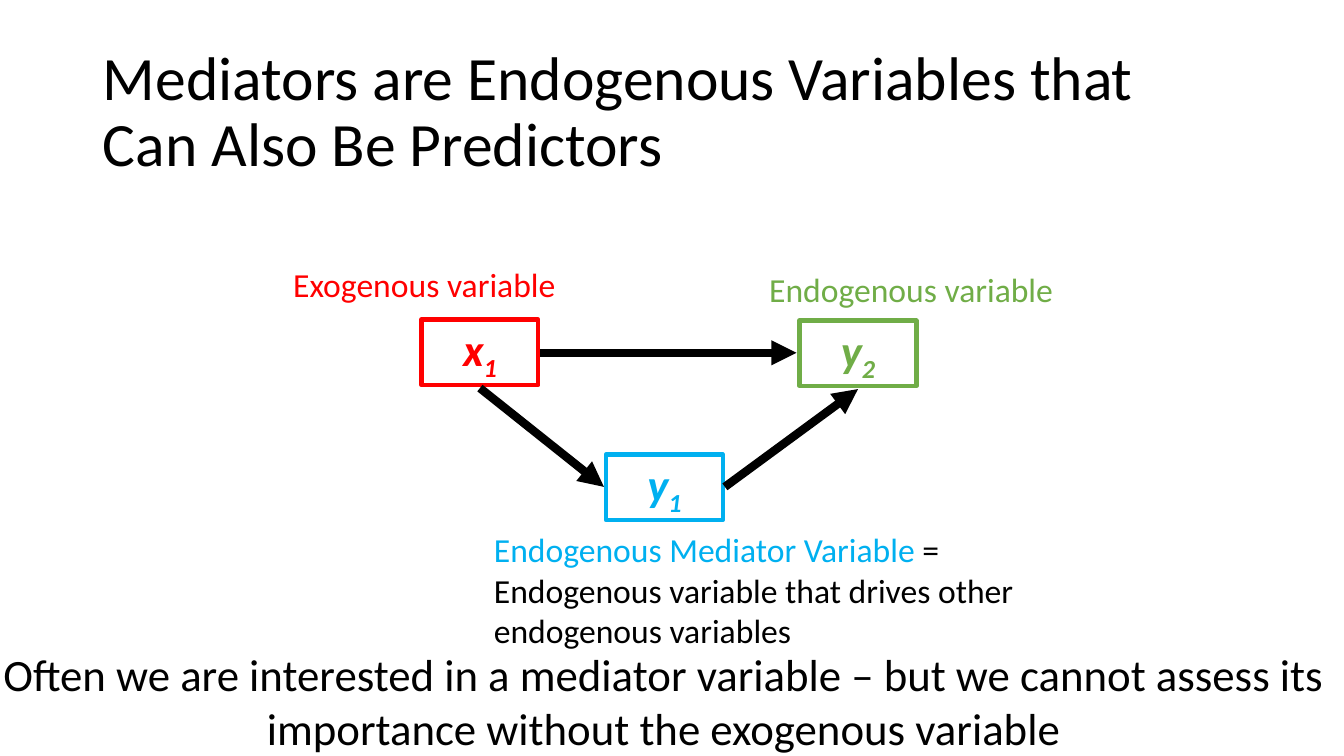
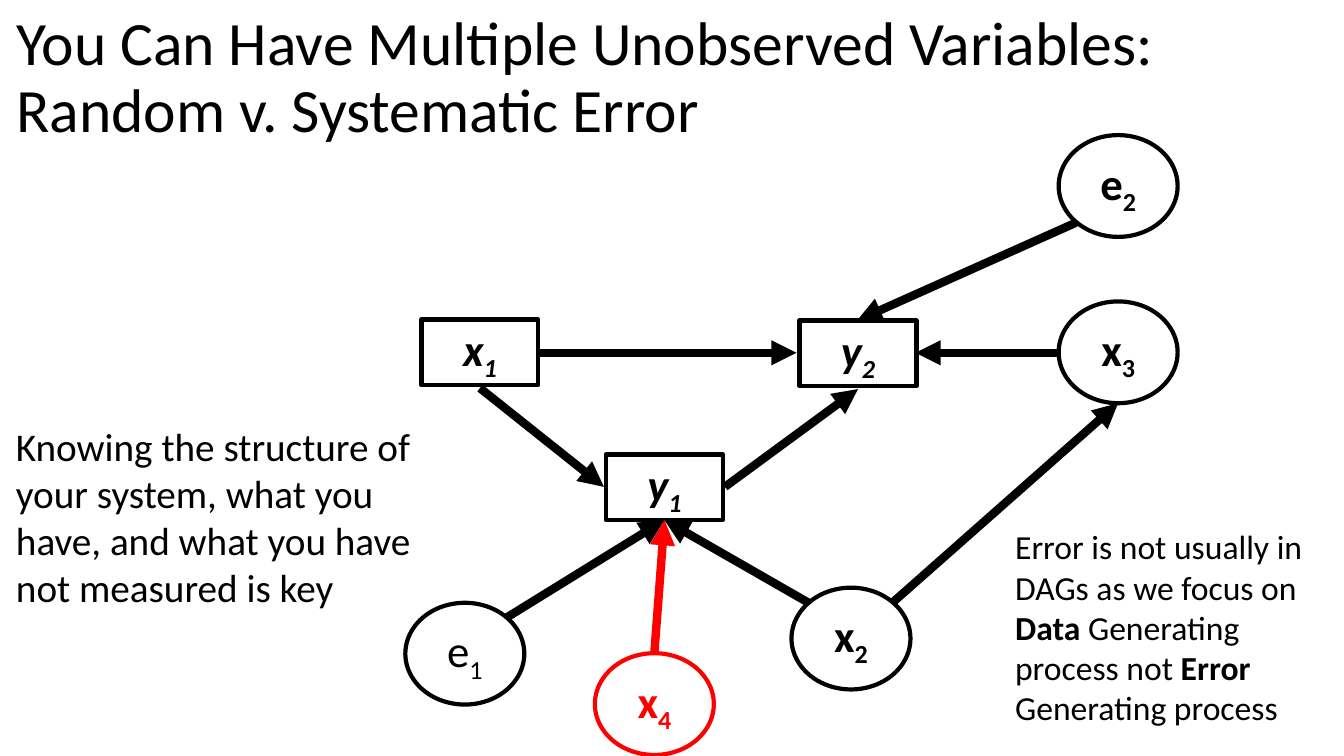
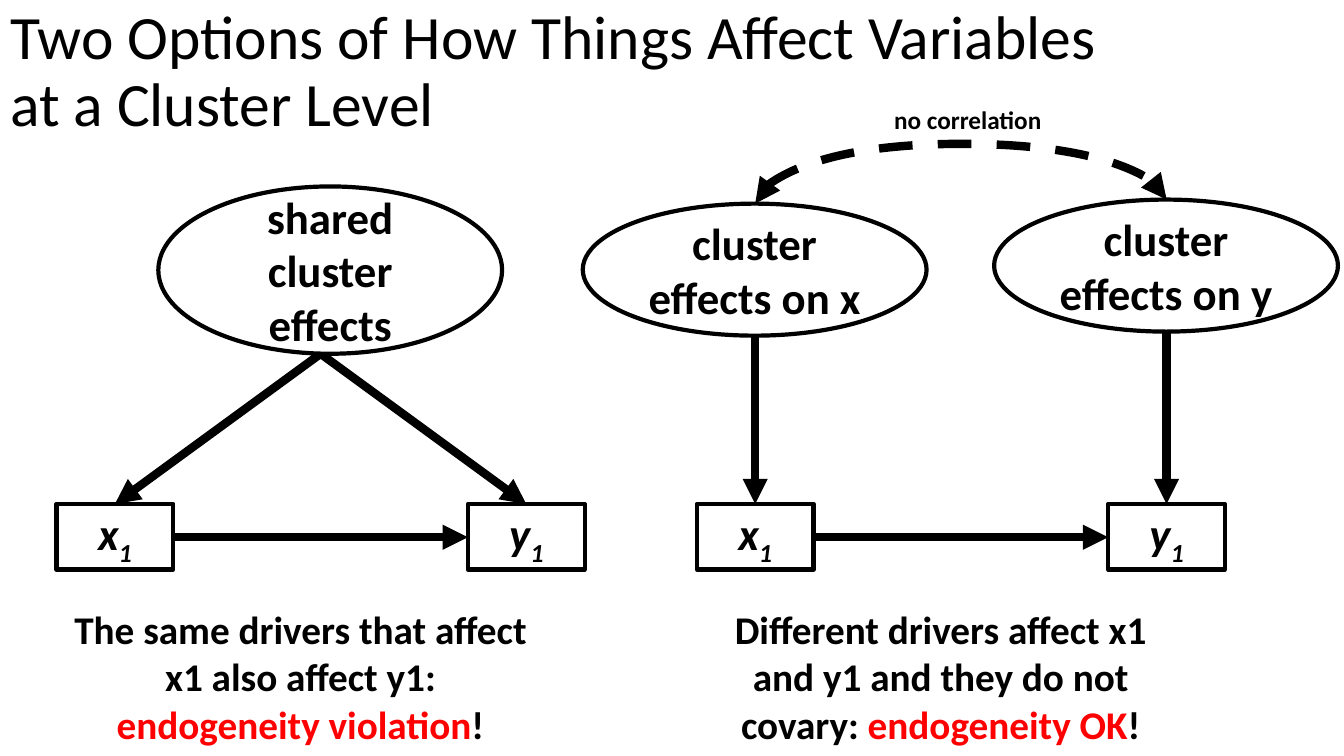
from lxml import etree
from pptx import Presentation
from pptx.dml.color import RGBColor
from pptx.enum.dml import MSO_LINE
from pptx.enum.shapes import MSO_CONNECTOR, MSO_SHAPE
from pptx.enum.text import MSO_ANCHOR, MSO_AUTO_SIZE, PP_ALIGN
from pptx.oxml.ns import qn
from pptx.util import Pt

PX = 9144  # 100 px to the inch
FONT = "Calibri"
HUES = {
    "ink": "000000",
    "paper": "FFFFFF",
    "red": "FF0000",
    "blue": "00B0F0",
    "green": "70AD47",
}
RECT, OVAL = MSO_SHAPE.RECTANGLE, MSO_SHAPE.OVAL
STRAIGHT, CURVE = MSO_CONNECTOR.STRAIGHT, MSO_CONNECTOR.CURVE
LEFT, MID = PP_ALIGN.LEFT, PP_ALIGN.CENTER
TOP, CORE = MSO_ANCHOR.TOP, MSO_ANCHOR.MIDDLE
DASH = MSO_LINE.DASH
FIXED = MSO_AUTO_SIZE.NONE
TITLE_ONLY = 5
NODE = (116, 65)
ROUND = (118, 101)


def emu(*nums):
    return [n * PX for n in nums]


def rgb(hue):
    return RGBColor.from_string(HUES[hue])


def write(frame, paras, size, hue="ink", align=LEFT, anchor=TOP, bold=False,
          slant=False):
    """Fill a text frame; each paragraph lists (text, changes) runs."""
    frame.word_wrap = True
    frame.auto_size = FIXED
    frame.vertical_anchor = anchor
    for i, runs in enumerate(paras):
        para = frame.add_paragraph() if i else frame.paragraphs[0]
        para.alignment = align
        for text, diff in runs:
            run = para.add_run()
            run.text = text
            font = run.font
            font.name, font.size = FONT, Pt(size)
            font.bold = diff.get("bold", bold)
            font.italic = slant
            font.color.rgb = rgb(diff.get("hue", hue))
            if "base" in diff:
                font._element.set("baseline", str(diff["base"] * 1000))


def head(deck, box, text):
    """Add a slide with its title in the box."""
    slide = deck.slides.add_slide(deck.slide_layouts[TITLE_ONLY])
    title = slide.shapes.title
    title.left, title.top, title.width, title.height = emu(*box)
    write(title.text_frame, [[(text, {})]], 44, anchor=CORE)
    title.text_frame.paragraphs[0].line_spacing = 0.9
    return slide


def note(slide, box, paras, size, **look):
    area = slide.shapes.add_textbox(*emu(*box))
    write(area.text_frame, paras, size, **look)


def form(slide, kind, box, runs, hue="ink", **look):
    """Add an outlined shape with centred text."""
    shape = slide.shapes.add_shape(kind, *emu(*box))
    shape.shadow.inherit = False
    if kind == OVAL:
        shape.fill.solid()
        shape.fill.fore_color.rgb = rgb("paper")
    else:
        shape.fill.background()
    shape.line.color.rgb = rgb(hue)
    shape.line.width = Pt(3)
    write(shape.text_frame, [runs], 32, hue, MID, CORE, **look)


def tag(name):
    """Split a name such as x1 into a letter and its subscript."""
    return [(name[0], {}), (name[1:], {"base": -25})]


def node(slide, x, y, name, hue="ink"):
    form(slide, RECT, (x, y, *NODE), tag(name), hue, bold=True, slant=True)


def link(slide, start, end, hue="ink", kind=STRAIGHT, dash=None,
         ends=("tailEnd",)):
    line = slide.shapes.add_connector(kind, *emu(*start, *end))
    line.line.color.rgb = rgb(hue)
    line.line.width = Pt(6)
    if dash:
        line.line.dash_style = dash
    props = line.element.spPr
    for end_name in ends:
        etree.SubElement(props.find(qn("a:ln")), qn("a:" + end_name),
                         type="triangle")
    etree.SubElement(props, qn("a:effectLst"))
    return props


def arc(slide, start, end, rise):
    """Join two points by a dashed curve that bulges up by rise."""
    wide, drop = end[0] - start[0], start[1] - end[1]
    x, y = (start[0] + end[0]) // 2, (start[1] + end[1]) // 2
    dx, dy = drop // 2, wide // 2
    props = link(slide, (x + dx, y + dy), (x - dx, y - dy), kind=CURVE,
                 dash=DASH, ends=("headEnd", "tailEnd"))
    props.find(qn("a:xfrm")).set("rot", "5400000")
    guides = props.find(qn("a:prstGeom")).find(qn("a:avLst"))
    etree.SubElement(guides, qn("a:gd"), name="adj1",
                     fmla=f"val {rise * 100000 // drop}")


def model(slide, x, y, hues=("ink", "ink", "ink")):
    """Draw x1, y1 and y2 with the three paths between them."""
    spots = (("x1", 0, 0), ("y1", 183, 134), ("y2", 375, 1))
    for (name, dx, dy), hue in zip(spots, hues):
        node(slide, x + dx, y + dy, name, hue)
    for a, b, c, d in ((58, 68, 181, 166), (301, 166, 433, 69),
                       (118, 33, 372, 33)):
        link(slide, (x + a, y + b), (x + c, y + d))


def pair(slide, x, y, roots, text, verdict):
    """Draw x1 and y1, their causes' arrows and the caption below."""
    wide, tall = NODE
    gap = 408
    for name, dx, root in zip(("x1", "y1"), (0, gap), roots):
        node(slide, x + dx, y, name)
        link(slide, root, (x + dx + wide // 2, y))
    link(slide, (x + wide, y + tall // 2 + 1), (x + gap, y + tall // 2 + 1))
    runs = [(text, {}), (verdict, {"hue": "red"}), ("!", {})]
    note(slide, (x, y + 96, 484, 151), [runs], 28, align=MID, bold=True)


def mediators(deck):
    slide = head(deck, (92, 40, 1150, 145),
                 "Mediators are Endogenous Variables that Can Also Be "
                 "Predictors")
    model(slide, 418, 317, ("red", "blue", "green"))
    note(slide, (753, 262, 339, 50), [[("Endogenous variable", {})]], 24,
         hue="green")
    note(slide, (281, 257, 316, 50), [[("Exogenous variable", {})]], 24,
         hue="red")
    note(slide, (480, 520, 560, 131), [
        [("Endogenous Mediator Variable ", {"hue": "blue"}), ("=", {})],
        [("Endogenous variable that drives other endogenous variables", {})],
    ], 24)
    note(slide, (-8, 637, 1333, 118), [[
        ("Often we are interested in a mediator variable – but we cannot "
         "assess its importance without the exogenous variable", {})]],
        32, align=MID)


def errors(deck):
    slide = head(deck, (6, 6, 1235, 145),
                 "You Can Have Multiple Unobserved Variables: "
                 "Random v. Systematic Error")
    model(slide, 418, 317)
    for name, x, y, hue, bold in (
            ("x3", 1050, 299, "ink", True), ("x2", 785, 583, "ink", True),
            ("e2", 1050, 134, "ink", True), ("e1", 402, 598, "ink", False),
            ("x4", 590, 648, "red", True)):
        form(slide, OVAL, (x, y, *ROUND), tag(name), hue, bold=bold)
    foot = (659, 516)
    for start, end, hue in (
            ((1050, 350), (908, 350), "ink"), ((802, 598), foot, "ink"),
            ((885, 598), (1109, 400), "ink"),
            ((1067, 221), (850, 318), "ink"),
            ((502, 613), foot, "ink"), ((649, 648), foot, "red")):
        link(slide, start, end, hue)
    note(slide, (6, 414, 458, 199), [[
        ("Knowing the structure of your system, what you have, and what "
         "you have not measured is key", {})]], 28)
    note(slide, (997, 517, 330, 212), [[
        ("Error is not usually in DAGs as we focus on ", {}),
        ("Data", {"bold": True}), (" Generating process not ", {}),
        ("Error", {"bold": True}), (" Generating process", {})]], 24)


def clusters(deck):
    slide = head(deck, (0, 0, 1116, 145),
                 "Two Options of How Things Affect Variables at a "
                 "Cluster Level")
    pair(slide, 56, 500, [(318, 351)] * 2,
         "The same drivers that affect x1 also affect y1: ",
         "endogeneity violation")
    pair(slide, 691, 500, [(749, 334), (1157, 329)],
         "Different drivers affect x1 and y1 and they do not covary: ",
         "endogeneity OK")
    for text, x, y, tall in (("shared cluster effects", 157, 185, 166),
                             ("cluster effects on x", 578, 202, 131),
                             ("cluster effects on y", 986, 198, 131)):
        form(slide, OVAL, (x, y, 341, tall), [(text, {})], bold=True)
    arc(slide, (749, 202), (1157, 198), 59)
    note(slide, (877, 99, 180, 40), [[("no correlation", {})]], 18, bold=True)


def main():
    deck = Presentation()
    deck.slide_width, deck.slide_height = emu(1333, 750)
    for make in (mediators, errors, clusters):
        make(deck)
    deck.save("out.pptx")


if __name__ == "__main__":
    main()
